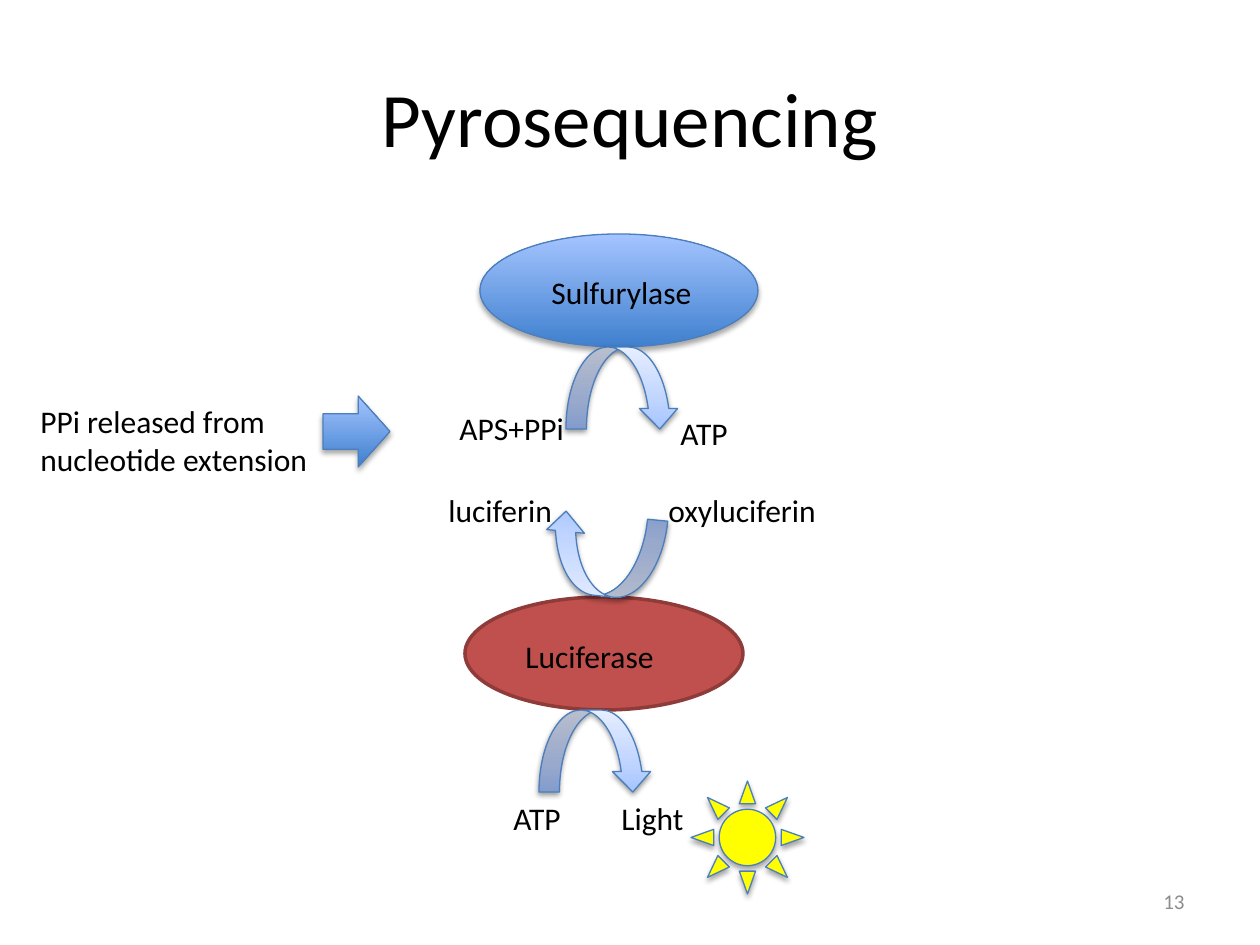
from dataclasses import dataclass

from lxml import etree
from pptx import Presentation
from pptx.dml.color import RGBColor
from pptx.enum.shapes import MSO_SHAPE
from pptx.enum.text import MSO_ANCHOR, MSO_AUTO_SIZE, PP_ALIGN
from pptx.oxml.ns import qn
from pptx.util import Emu, Pt

PX = 914400 / 126
OVAL, SUN = MSO_SHAPE.OVAL, MSO_SHAPE.SUN
CURVED, RIGHT_ARROW = MSO_SHAPE.CURVED_DOWN_ARROW, MSO_SHAPE.RIGHT_ARROW
LEFT, CENTER, RIGHT = PP_ALIGN.LEFT, PP_ALIGN.CENTER, PP_ALIGN.RIGHT
TOP, MIDDLE = MSO_ANCHOR.TOP, MSO_ANCHOR.MIDDLE
FIT, NO_FIT = MSO_AUTO_SIZE.SHAPE_TO_FIT_TEXT, MSO_AUTO_SIZE.NONE


@dataclass(frozen=True)
class Theme:
    font: str = "Calibri"
    title_size: int = 44
    label_size: int = 18
    number_size: int = 12
    text: str = "000000"
    muted: str = "8C8C8C"
    outline: str = "4B7EBC"
    red: str = "C0504D"
    red_outline: str = "8E3B39"
    yellow: str = "FFFF00"
    blue: tuple = ((0, "3F80CE"), (100, "A4C4FF"))
    pale_blue: tuple = ((0, "A4C4FF"), (35, "BFD4FF"), (100, "E6EEFF"))


THEME = Theme()


def px(*values):
    return [Emu(round(v * PX)) for v in values]


def add_text(slide, text, x, y, w, h=50, size=THEME.label_size, color=THEME.text,
             align=LEFT, anchor=TOP, wrap=False):
    tf = slide.shapes.add_textbox(*px(x, y, w, h)).text_frame
    tf.word_wrap = wrap
    tf.auto_size = NO_FIT if wrap else FIT
    tf.vertical_anchor = anchor
    tf.text = text
    for p in tf.paragraphs:
        p.alignment = align
        p.font.name = THEME.font
        p.font.size = Pt(size)
        p.font.color.rgb = RGBColor.from_string(color)


def set_gradient(sp, stops):
    """Fill from bottom to top with (percent, colour) stops."""
    sp.fill.gradient()
    sp.fill.gradient_angle = 90
    gs_list = next(sp._element.spPr.iter(qn("a:gsLst")))
    for gs in list(gs_list):
        gs_list.remove(gs)
    for percent, color in stops:
        gs = etree.SubElement(gs_list, qn("a:gs"), pos=str(percent * 1000))
        etree.SubElement(gs, qn("a:srgbClr"), val=color)


def set_shadow(sp, opacity, distance):
    """Cast a soft black shadow straight down."""
    effects = sp._element.spPr.find(qn("a:effectLst"))
    shadow = etree.SubElement(effects, qn("a:outerShdw"), blurRad=str(Pt(3.1)),
                              dist=str(Pt(distance)), dir="5400000", rotWithShape="0")
    black = etree.SubElement(shadow, qn("a:srgbClr"), val="000000")
    etree.SubElement(black, qn("a:alpha"), val=str(opacity * 1000))


def add_shape(slide, kind, x, y, w, h, fill, line=THEME.outline, width=0.75,
              shadow=(35, 1.8), adjust=(), rotation=0):
    sp = slide.shapes.add_shape(kind, *px(x, y, w, h))
    for i, value in enumerate(adjust):
        sp.adjustments[i] = value
    sp.rotation = rotation
    if isinstance(fill, str):
        sp.fill.solid()
        sp.fill.fore_color.rgb = RGBColor.from_string(fill)
    else:
        set_gradient(sp, fill)
    sp.line.color.rgb = RGBColor.from_string(line)
    sp.line.width = Pt(width)
    sp.shadow.inherit = False
    if shadow:
        set_shadow(sp, *shadow)


def add_curved_arrow(slide, x, y, w=113, h=82, rotation=0):
    add_shape(slide, CURVED, x, y, w, h, THEME.pale_blue, shadow=(38, 1.6),
              adjust=(0.25, 0.466, 0.25), rotation=rotation)


def add_heading(slide, x, y, w, h):
    add_text(slide, "Pyrosequencing", x, y, w, h, size=THEME.title_size,
             align=CENTER, anchor=MIDDLE, wrap=True)


def add_page_number(slide, x, y, w, h):
    add_text(slide, "13", x, y, w, h, size=THEME.number_size, color=THEME.muted,
             align=RIGHT, anchor=MIDDLE, wrap=True)


def add_sulfurylase_step(slide, x, y, w, h):
    """APS and PPi become ATP; the box is the enzyme's."""
    add_shape(slide, OVAL, x, y, w, h, THEME.blue)
    add_curved_arrow(slide, x + 86, y + h)
    add_text(slide, "Sulfurylase", x + 59, y + 33, 166)
    add_text(slide, "APS+PPi", x - 33, y + 169, 131)
    add_text(slide, "ATP", x + 188, y + 174, 73)


def add_luciferase_step(slide, x, y, w, h):
    """ATP becomes light as luciferin is oxidised; the box is the enzyme's."""
    add_shape(slide, OVAL, x, y, w, h, THEME.red, line=THEME.red_outline,
              width=2, shadow=None)
    add_curved_arrow(slide, x + 78, y - 82, 121, 81, rotation=185.7)
    add_curved_arrow(slide, x + 74, y + h)
    add_text(slide, "Luciferase", x + 48, y + 34, 155)
    add_text(slide, "luciferin", x - 29, y - 112, 130)
    add_text(slide, "oxyluciferin", x + 191, y - 112, 174)
    add_text(slide, "ATP", x + 36, y + 196, 73)
    add_text(slide, "Light", x + 144, y + 196, 88)
    add_shape(slide, SUN, x + 226, y + 184, 113, 113, THEME.yellow)


def add_ppi_source(slide, x, y, w, h):
    arrow_w = 67
    add_text(slide, "PPi released from\nnucleotide extension", x, y, w - arrow_w, h)
    add_shape(slide, RIGHT_ARROW, x + w - arrow_w, y, arrow_w, 71, THEME.blue,
              adjust=(0.5, 0.475))


def main():
    prs = Presentation()
    prs.slide_width, prs.slide_height = px(1260, 945)
    slide = prs.slides.add_slide(prs.slide_layouts[6])
    add_heading(slide, 63, 38, 1134, 158)
    add_sulfurylase_step(slide, 480, 234, 278, 113)
    add_luciferase_step(slide, 465, 597, 278, 113)
    add_ppi_source(slide, 28, 396, 362, 89)
    add_page_number(slide, 903, 876, 294, 50)
    prs.save("out.pptx")


if __name__ == "__main__":
    main()
